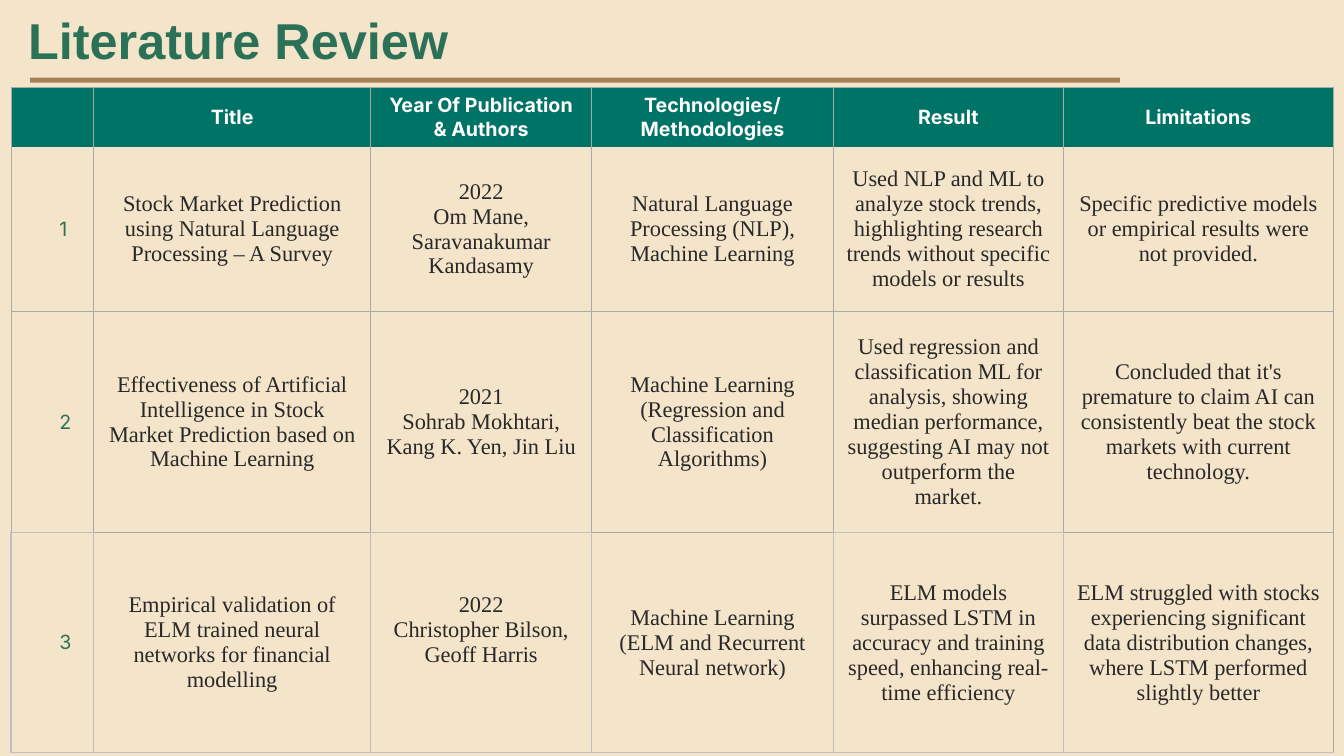
from dataclasses import dataclass
from itertools import product

from lxml.etree import SubElement
from pptx import Presentation
from pptx.dml.color import RGBColor
from pptx.enum.shapes import MSO_SHAPE
from pptx.enum.text import MSO_ANCHOR, MSO_AUTO_SIZE, PP_ALIGN
from pptx.oxml.ns import qn
from pptx.slide import Slide
from pptx.table import _Cell
from pptx.text.text import TextFrame
from pptx.util import Emu, Inches, Pt

COLORS = {
    "sand": "F4E4C9",
    "green": "2B7158",
    "teal": "007367",
    "brown": "A58255",
    "white": "FFFFFF",
    "ink": "282828",
    "gray": "A9A9A9",
    "silver": "BFBFBF",
}
WIDTH, HEIGHT = Inches(13.333), Inches(7.5)
COLUMNS = [6.15, 20.62, 16.43, 18, 17.1, 20.1]
ROWS = [7.6, 21.73, 29.33, 29.07]
HEADERS = ["", "Title", "Year Of Publication\n& Authors",
           "Technologies/\nMethodologies", "Result", "Limitations"]


@dataclass(frozen=True)
class Box:
    left: float
    top: float
    width: float
    height: float

    def place(self) -> dict[str, Emu]:
        return {"left": across(self.left), "top": down(self.top),
                "width": across(self.width), "height": down(self.height)}


@dataclass(frozen=True)
class TextStyle:
    name: str
    size: int
    color: str
    bold: bool = False
    align: PP_ALIGN = PP_ALIGN.CENTER


@dataclass(frozen=True)
class Line:
    color: str
    points: float


@dataclass(frozen=True)
class Paper:
    title: str
    authors: str
    methods: str
    result: str
    limits: str

    def cells(self) -> list[str]:
        return [self.title, self.authors, self.methods, self.result, self.limits]


TITLE = TextStyle("Arial", 36, "green", True, PP_ALIGN.LEFT)
HEAD = TextStyle("Inter", 14, "white", True)
NUMBER = TextStyle("Inter", 14, "green", align=PP_ALIGN.LEFT)
BODY = TextStyle("Times New Roman", 16, "ink")
THIN = Line("gray", 0.75)
PALE = Line("silver", 1)

PAPERS = [
    Paper("Stock Market Prediction using Natural Language Processing – A Survey",
          "2022\nOm Mane, Saravanakumar Kandasamy",
          "Natural Language Processing (NLP), Machine Learning",
          "Used NLP and ML to analyze stock trends, highlighting research trends "
          "without specific models or results",
          "Specific predictive models or empirical results were not provided."),
    Paper("Effectiveness of Artificial Intelligence in Stock Market Prediction "
          "based on Machine Learning",
          "2021\nSohrab Mokhtari, Kang K. Yen, Jin Liu",
          "Machine Learning (Regression and Classification Algorithms)",
          "Used regression and classification ML for analysis, showing median "
          "performance, suggesting AI may not outperform the market.",
          "Concluded that it's premature to claim AI can consistently beat the "
          "stock markets with current technology."),
    Paper("Empirical validation of ELM trained neural networks for financial modelling",
          "2022\nChristopher Bilson,\nGeoff Harris",
          "Machine Learning\n(ELM and Recurrent Neural network)",
          "ELM models surpassed LSTM in accuracy and training speed, enhancing "
          "real-time efficiency",
          "ELM struggled with stocks experiencing significant data distribution "
          "changes, where LSTM performed slightly better"),
]


def across(percent: float) -> Emu:
    return Emu(round(WIDTH * percent / 100))


def down(percent: float) -> Emu:
    return Emu(round(HEIGHT * percent / 100))


def rgb(name: str) -> RGBColor:
    return RGBColor.from_string(COLORS[name])


def set_all(target: object, values: dict[str, object]) -> None:
    for key, value in values.items():
        setattr(target, key, value)


def write(tf: TextFrame, text: str, style: TextStyle) -> None:
    tf.text = text
    for p in tf.paragraphs:
        p.alignment = style.align
        for r in p.runs:
            set_all(r.font, {"name": style.name, "size": Pt(style.size),
                             "bold": style.bold})
            r.font.color.rgb = rgb(style.color)


def cell_lines(row: int, col: int) -> dict[str, Line | None]:
    last_row, last_col = len(ROWS) - 1, len(COLUMNS) - 1
    side = PALE if row == last_row else THIN
    seam = THIN if col % 2 else PALE
    tops = [THIN, None, THIN, seam]
    bottoms = [None, THIN, seam, PALE]
    return {"lnL": side, "lnR": THIN if col == last_col else side,
            "lnT": tops[row], "lnB": bottoms[row]}


def draw_lines(cell: _Cell, lines: dict[str, Line | None]) -> None:
    tc_pr = cell._tc.get_or_add_tcPr()
    for tag, line in lines.items():
        ln = SubElement(tc_pr, qn(f"a:{tag}"))
        if line is None:
            SubElement(ln, qn("a:noFill"))
            continue
        ln.set("w", str(Pt(line.points)))
        fill = SubElement(ln, qn("a:solidFill"))
        SubElement(fill, qn("a:srgbClr"), val=COLORS[line.color])


def add_title(s: Slide) -> None:
    sp = s.shapes.title
    set_all(sp, Box(1.35, 0.53, 69, 9.47).place())
    tf = sp.text_frame
    set_all(tf, {"word_wrap": True, "auto_size": MSO_AUTO_SIZE.SHAPE_TO_FIT_TEXT,
                 "vertical_anchor": MSO_ANCHOR.MIDDLE})
    write(tf, "Literature Review", TITLE)


def add_rule(s: Slide) -> None:
    sp = s.shapes.add_shape(MSO_SHAPE.RECTANGLE,
                            **Box(2.25, 10.27, 81.08, 0.67).place())
    sp.shadow.inherit = False
    sp.fill.solid()
    sp.fill.fore_color.rgb = rgb("brown")
    sp.line.fill.background()


def add_review(s: Slide) -> None:
    box = Box(0.82, 11.6, sum(COLUMNS), sum(ROWS))
    table = s.shapes.add_table(len(ROWS), len(COLUMNS), **box.place()).table
    set_all(table, {"first_row": False, "horz_banding": False})
    for column, share in zip(table.columns, COLUMNS):
        column.width = across(share)
    for row, share in zip(table.rows, ROWS):
        row.height = down(share)

    texts = [HEADERS] + [[str(n), *paper.cells()] for n, paper in enumerate(PAPERS, 1)]
    for row, col in product(range(len(ROWS)), range(len(COLUMNS))):
        cell = table.cell(row, col)
        style = HEAD if row == 0 else NUMBER if col == 0 else BODY
        plain = col == 3 and row in (1, 2)
        raised = col == 2 and row == 3
        set_all(cell, {
            "margin_left": across(3.6 if style is NUMBER else 0.75 if plain else 0.9),
            "margin_right": across(0.75 if plain else 0.9),
            "margin_top": down(0.8),
            "margin_bottom": down(4.1 if raised else 0.8),
            "vertical_anchor": MSO_ANCHOR.MIDDLE,
        })
        draw_lines(cell, cell_lines(row, col))
        cell.fill.solid()
        cell.fill.fore_color.rgb = rgb("teal" if row == 0 else "sand")
        write(cell.text_frame, texts[row][col], style)


def main() -> None:
    prs = Presentation()
    set_all(prs, {"slide_width": WIDTH, "slide_height": HEIGHT})
    s = prs.slides.add_slide(prs.slide_layouts[5])
    s.background.fill.solid()
    s.background.fill.fore_color.rgb = rgb("sand")
    add_title(s)
    add_rule(s)
    add_review(s)
    prs.save("out.pptx")


if __name__ == "__main__":
    main()
